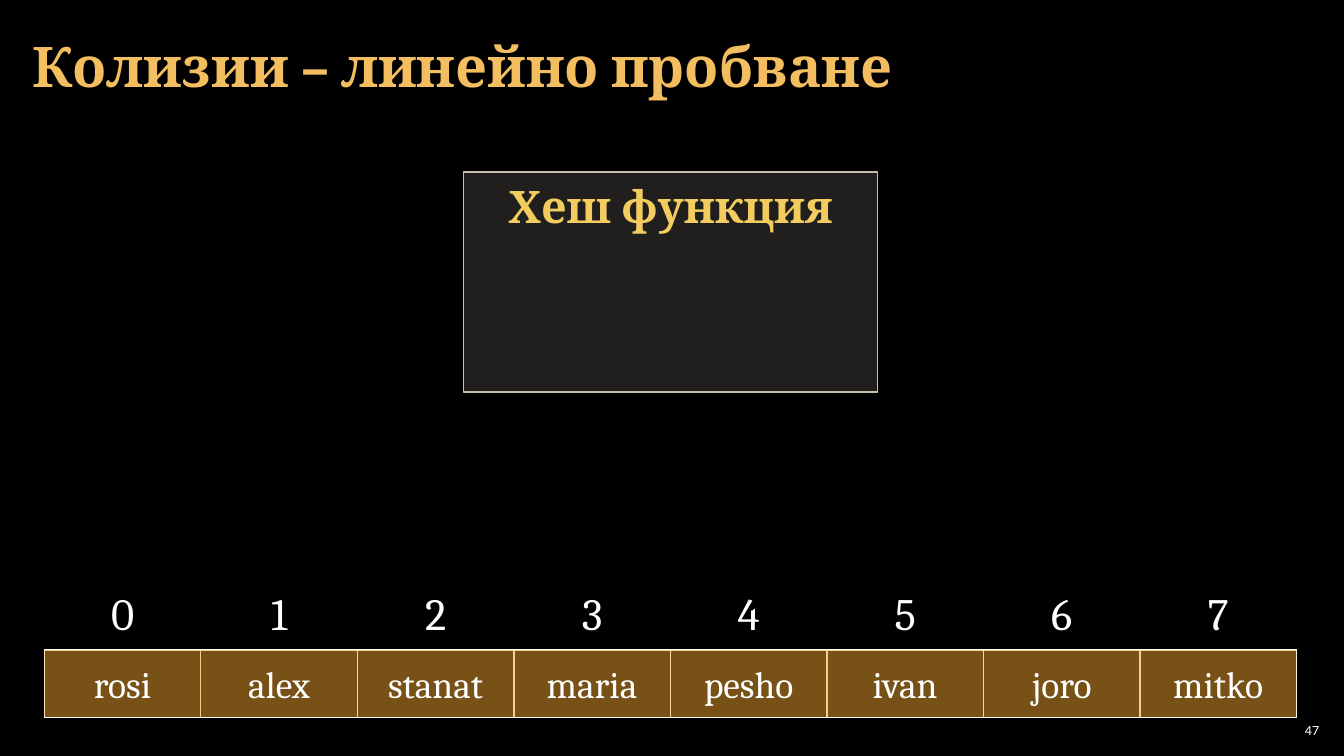
from lxml.etree import SubElement
from pptx import Presentation
from pptx.dml.color import RGBColor
from pptx.enum.shapes import MSO_SHAPE
from pptx.enum.text import MSO_ANCHOR, PP_ALIGN
from pptx.oxml import parse_xml
from pptx.oxml.ns import nsdecls, qn
from pptx.util import Pt

WHITE = "FFFFFF"
GRID_LEFT, GRID_TOP = 31.7, 416.3
CELL_WIDTH, CELL_HEIGHT = 111.8, 48
NAMES = ["rosi", "alex", "stanat", "maria", "pesho", "ivan", "joro", "mitko"]


def set_color(color_format, value):
    color_format.rgb = RGBColor.from_string(value)


def set_fill(fill, color, opacity=100):
    fill.solid()
    set_color(fill.fore_color, color)
    if opacity < 100:
        color_element = fill._xPr.find(qn("a:solidFill"))[0]
        SubElement(color_element, qn("a:alpha"), val=str(opacity * 1000))


def write_text(frame, text, size, color=WHITE, align=PP_ALIGN.CENTER,
               bold=False, font="Cambria", anchor=MSO_ANCHOR.MIDDLE, margins=(9.6, 4.8)):
    frame.word_wrap = True
    frame.vertical_anchor = anchor
    frame.margin_left = frame.margin_right = Pt(margins[0])
    frame.margin_top = frame.margin_bottom = Pt(margins[1])
    para = frame.paragraphs[0]
    para.text = text
    para.alignment = align
    para.font.name = font
    para.font.size = Pt(size)
    para.font.bold = bold
    set_color(para.font.color, color)


def add_text(page, bounds, text, size, **style):
    box = page.shapes.add_textbox(*map(Pt, bounds))
    write_text(box.text_frame, text, size, **style)


def add_block(page, kind, bounds, color, opacity, line_color=None):
    block = page.shapes.add_shape(kind, *map(Pt, bounds))
    block.shadow.inherit = False
    set_fill(block.fill, color, opacity)
    if line_color:
        set_color(block.line.color, line_color)
        block.line.width = Pt(1)
    else:
        block.line.fill.background()
    return block


def set_borders(cell, visible_sides):
    properties = cell._tc.get_or_add_tcPr()
    for position, side in enumerate("LRTB"):
        paint = "<a:noFill/>"
        if side in visible_sides:
            paint = f'<a:solidFill><a:srgbClr val="{WHITE}"/></a:solidFill>'
        border = parse_xml(f'<a:ln{side} {nsdecls("a")} w="{Pt(1)}">{paint}</a:ln{side}>')
        properties.insert(position, border)


def add_index_table(page):
    count = len(NAMES)
    table = page.shapes.add_table(2, count, Pt(GRID_LEFT), Pt(GRID_TOP),
                                  Pt(CELL_WIDTH * count), Pt(CELL_HEIGHT * 2)).table
    table.first_row = table.horz_banding = False
    for row in table.rows:
        row.height = Pt(CELL_HEIGHT)
    for index in range(count):
        table.columns[index].width = Pt(CELL_WIDTH)
        heading, slot = table.cell(0, index), table.cell(1, index)
        write_text(heading.text_frame, str(index), 32)
        heading.vertical_anchor = MSO_ANCHOR.MIDDLE
        heading.margin_left = heading.margin_right = Pt(9.6)
        heading.margin_top = heading.margin_bottom = Pt(4.8)
        for cell, sides in ((heading, "B"), (slot, "LRTB")):
            cell.fill.background()
            set_borders(cell, sides)


def add_name(page, index, name):
    bounds = (GRID_LEFT + index * CELL_WIDTH, GRID_TOP + CELL_HEIGHT, CELL_WIDTH, CELL_HEIGHT)
    block = add_block(page, MSO_SHAPE.FLOWCHART_PROCESS, bounds, "F0A22E", 50)
    write_text(block.text_frame, name, 26.7)


def main():
    deck = Presentation()
    deck.slide_width, deck.slide_height = Pt(960), Pt(540)
    page = deck.slides.add_slide(deck.slide_layouts[6])
    set_fill(page.background.fill, "000000")

    # Title
    add_text(page, (15, 3, 929.5, 87), "Колизии – линейно пробване", 40, color="F3BE60",
             bold=True, align=PP_ALIGN.LEFT, margins=(8.5, 2.8))

    # Hash function
    add_block(page, MSO_SHAPE.RECTANGLE, (331, 123, 296, 157), "D9D4C6", 15, "C6BEAB")
    add_text(page, (331, 123, 296, 42), "Хеш функция", 32, color="F3CC5F",
             bold=True, anchor=MSO_ANCHOR.TOP)

    # Slots with their indices and names
    add_index_table(page)
    for index, name in enumerate(NAMES):
        add_name(page, index, name)

    # Page number
    add_text(page, (911, 514, 34, 15), "47", 10, font="Calibri",
             align=PP_ALIGN.RIGHT, margins=(2.8, 2.8))
    deck.save("out.pptx")


if __name__ == "__main__":
    main()
